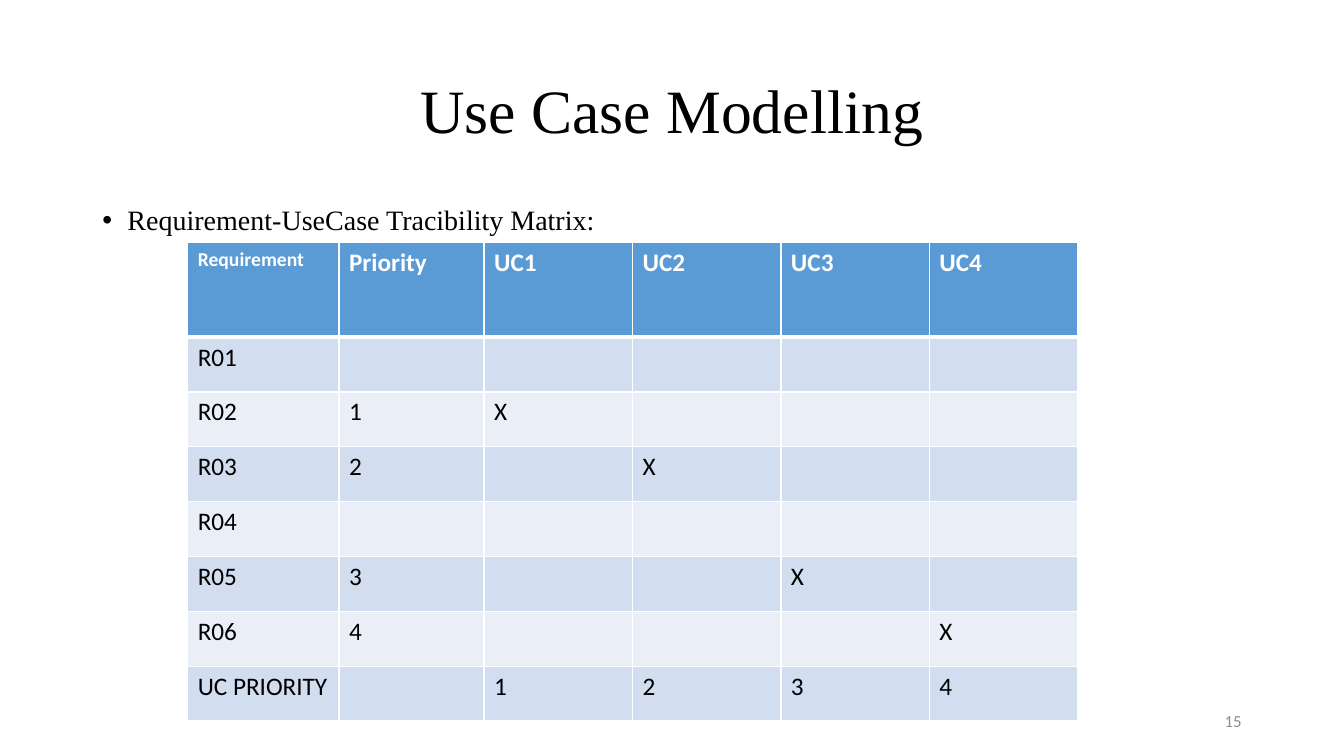
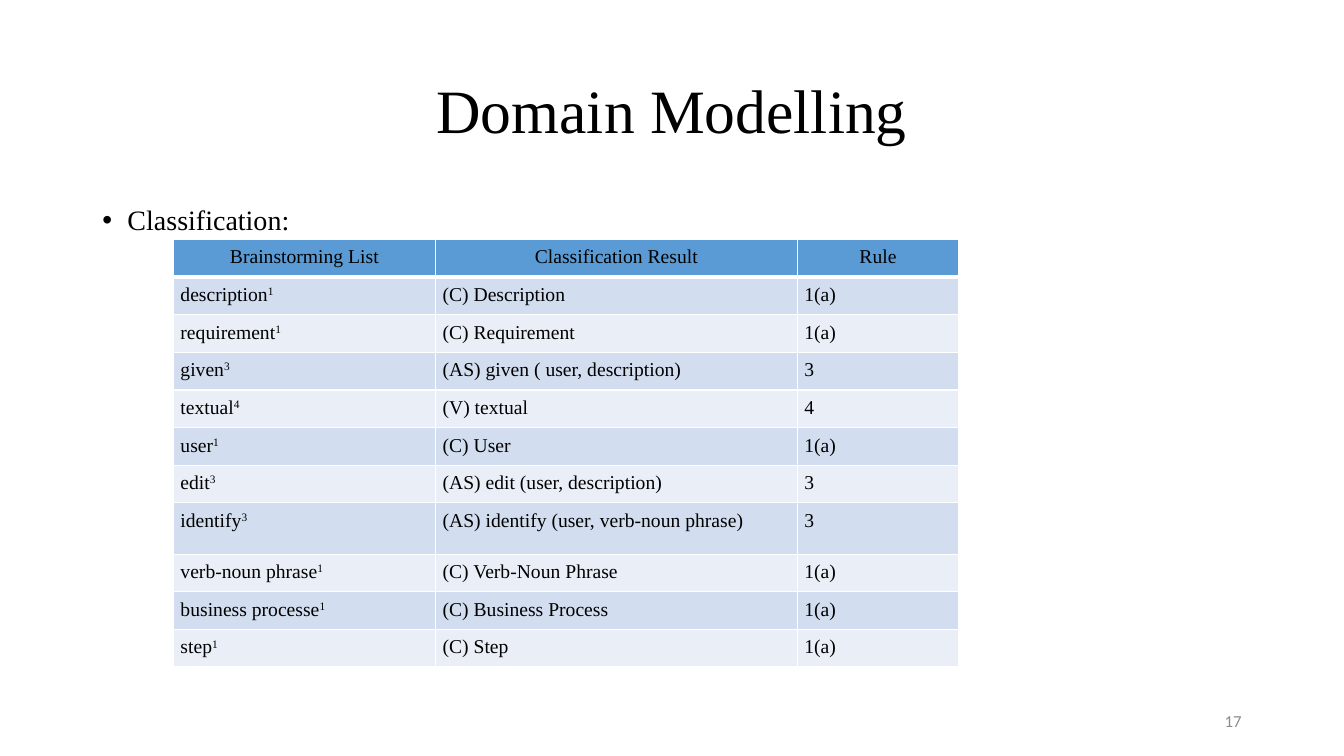
from lxml.etree import SubElement
from pptx import Presentation
from pptx.dml.color import RGBColor
from pptx.enum.text import MSO_ANCHOR as Anchor, PP_ALIGN as Align
from pptx.oxml.ns import qn
from pptx.util import Inches, Pt

# Grid: 160 columns by 90 rows of square cells
COLUMNS, ROWS = 160, 90
CELL = Inches(1) // 12

# Colours and fonts
BLACK = RGBColor(0x00, 0x00, 0x00)
WHITE = RGBColor(0xFF, 0xFF, 0xFF)
GREY = RGBColor(0x8C, 0x8C, 0x8C)
HEADER_BLUE = RGBColor(0x5B, 0x9B, 0xD5)
BANDS = (RGBColor(0xD2, 0xDE, 0xEF), RGBColor(0xEA, 0xEF, 0xF7))
SERIF, SANS = "Times New Roman", "Calibri"


def grid(count):
    return round(count * CELL)


class Deck:
    """Holds the shared style and the current slide."""

    def __init__(self):
        self.deck = Presentation()
        self.deck.slide_width = grid(COLUMNS)
        self.deck.slide_height = grid(ROWS)
        self.page = None

    def add_page(self, title, topic, number):
        self.page = self.deck.slides.add_slide(self.deck.slide_layouts[6])
        self.title(title)
        self.bullet(topic)
        self.page_number(number)

    def span(self, para, text, size, font, color=BLACK, bold=False, raised=False):
        span = para.add_run()
        span.text = text
        span.font.size = Pt(size)
        span.font.name = font
        span.font.bold = bold
        span.font.color.rgb = color
        if raised:
            span._r.get_or_add_rPr().set("baseline", "30000")

    def text_box(self, left, top, width, height, anchor=Anchor.TOP):
        box = self.page.shapes.add_textbox(*map(grid, (left, top, width, height)))
        box.text_frame.word_wrap = True
        box.text_frame.vertical_anchor = anchor
        return box.text_frame.paragraphs[0]

    def title(self, text):
        para = self.text_box(11, 4.8, 138, 17.4, Anchor.MIDDLE)
        para.alignment = Align.CENTER
        para.line_spacing = 0.9
        self.span(para, text, 44, SERIF)

    def bullet(self, text):
        para = self.text_box(11, 24, 138, 57)
        para.line_spacing = 0.9
        para.space_before = Pt(10)
        props = para._p.get_or_add_pPr()
        props.set("marL", str(grid(3)))
        props.set("indent", str(grid(-3)))
        SubElement(props, qn("a:buFont"), typeface="Arial")
        SubElement(props, qn("a:buChar"), char="•")
        self.span(para, text, 20, SERIF)

    def page_number(self, number):
        para = self.text_box(113, 83.4, 36, 4.8, Anchor.MIDDLE)
        para.alignment = Align.RIGHT
        self.span(para, str(number), 12, SANS, GREY)

    def borders(self, cell, top, bottom):
        props = cell._tc.get_or_add_tcPr()
        for side, width in (("L", 1), ("R", 1), ("T", top), ("B", bottom)):
            line = SubElement(props, qn(f"a:ln{side}"), w=str(Pt(width)))
            fill = SubElement(line, qn("a:solidFill"))
            SubElement(fill, qn("a:srgbClr"), val=str(WHITE))

    def table(self, left, top, widths, heights, rows, write, margin=None):
        """Draw a banded table; write(para, row, column, value) fills each cell."""
        frame = self.page.shapes.add_table(
            len(rows), len(widths), grid(left), grid(top),
            grid(sum(widths)), grid(sum(heights)))
        table = frame.table
        table.first_row = table.horz_banding = False
        for column, width in zip(table.columns, widths):
            column.width = grid(width)
        for r, (height, values) in enumerate(zip(heights, rows)):
            table.rows[r].height = grid(height)
            for c, value in enumerate(values):
                cell = table.cell(r, c)
                self.borders(cell, 3 if r == 1 else 1, 3 if r == 0 else 1)
                cell.fill.solid()
                cell.fill.fore_color.rgb = BANDS[(r - 1) % 2] if r else HEADER_BLUE
                if margin:
                    cell.margin_left = cell.margin_right = margin
                    cell.margin_top = cell.margin_bottom = margin
                if value:
                    write(cell.text_frame.paragraphs[0], r, c, value)

    def matrix_cell(self, para, row, column, value):
        header = row == 0
        size = 14 if header and column == 0 else 18
        self.span(para, value, size, SANS, WHITE if header else BLACK, bold=header)

    def rule_cell(self, para, row, column, value):
        if row == 0:
            para.alignment = Align.CENTER
        word, _, mark = value.partition("^")
        self.span(para, word, 14, SERIF)
        if mark:
            self.span(para, mark, 14, SERIF, raised=True)


# Requirement against use case; X marks where they meet
USE_CASES = ["1", "2", "3", "4"]
PRIORITIES = {"R01": "", "R02": "1", "R03": "2", "R04": "", "R05": "3", "R06": "4"}
MATRIX = [
    ["Requirement", "Priority"] + [f"UC{case}" for case in USE_CASES],
    *([name, rank] + ["X" if rank == case else "" for case in USE_CASES]
      for name, rank in PRIORITIES.items()),
    ["UC PRIORITY", ""] + USE_CASES,
]

# A caret sets off the raised rule number
CLASSIFICATION = [
    ("Brainstorming List", "Classification Result", "Rule"),
    ("description^1", "(C) Description", "1(a)"),
    ("requirement^1", "(C) Requirement", "1(a)"),
    ("given^3", "(AS) given ( user, description)", "3"),
    ("textual^4", "(V) textual", "4"),
    ("user^1", "(C) User", "1(a)"),
    ("edit^3", "(AS) edit (user, description)", "3"),
    ("identify^3", "(AS) identify (user, verb-noun phrase)", "3"),
    ("verb-noun phrase^1", "(C) Verb-Noun Phrase", "1(a)"),
    ("business processe^1", "(C) Business Process", "1(a)"),
    ("step^1", "(C) Step", "1(a)"),
]


def main():
    show = Deck()

    # Traceability matrix
    show.add_page("Use Case Modelling", "Requirement-UseCase Tracibility Matrix:", 15)
    show.table(22.35, 28.85, [18, 17.28] + [17.67] * 4, [11.28] + [6.53] * 7,
               MATRIX, show.matrix_cell)

    # Classification of the brainstormed words
    show.add_page("Domain Modelling", "Classification:", 17)
    heights = [6.12 if row[0].startswith("identify") else 4.2 for row in CLASSIFICATION]
    show.table(20.65, 28.5, [31.2, 43.08, 19.2], heights,
               CLASSIFICATION, show.rule_cell, margin=Inches(0.07))

    show.deck.save("out.pptx")


if __name__ == "__main__":
    main()
